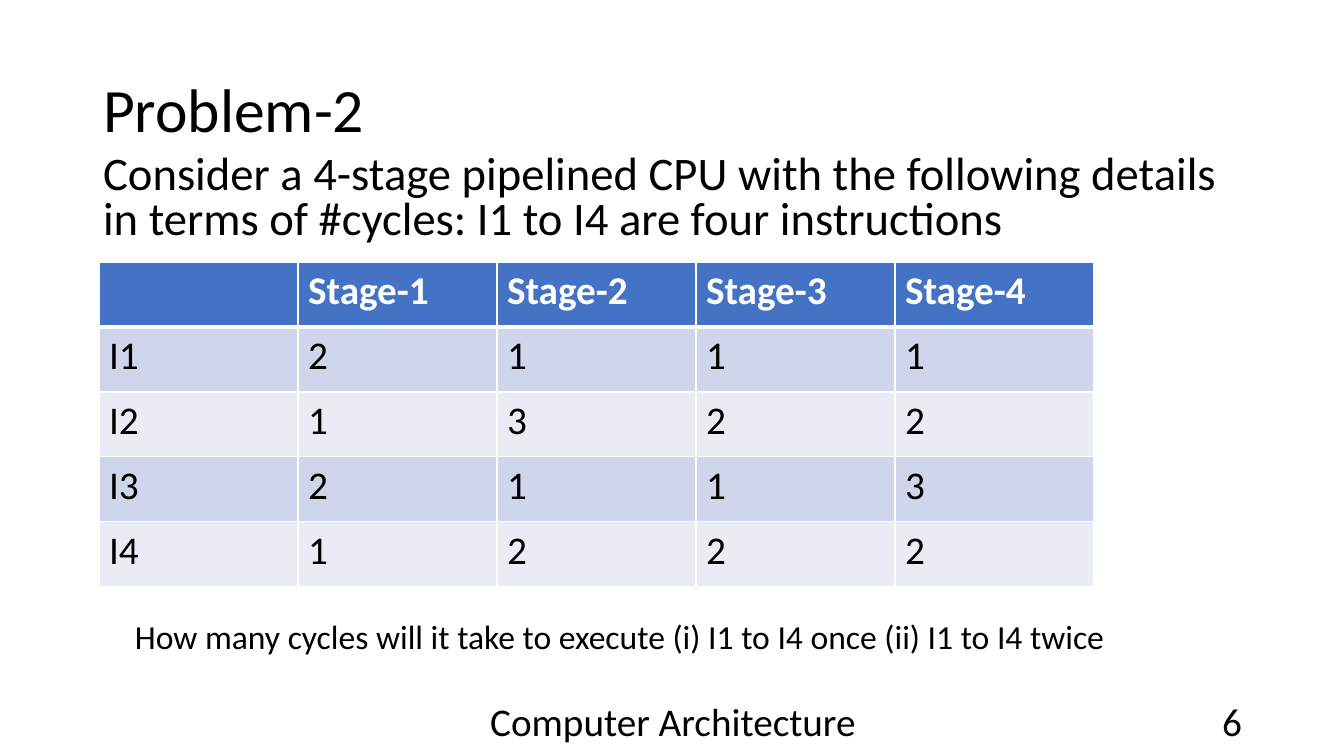
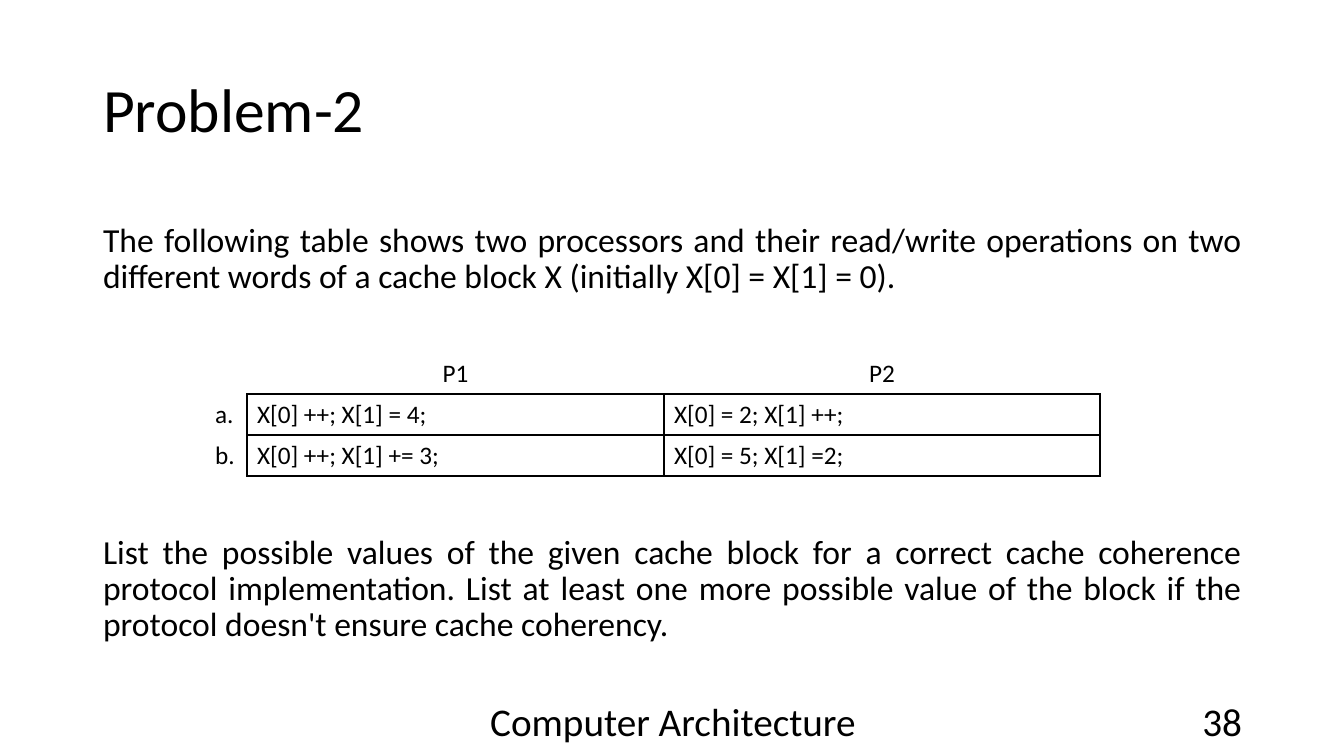
import lxml.etree
import pptx
import pptx.dml.color
import pptx.enum.text
import pptx.oxml.ns
import pptx.util

PX = 914400 / 100.8
FONT = "Calibri"
BLACK = pptx.dml.color.RGBColor(0x00, 0x00, 0x00)
WHITE = pptx.dml.color.RGBColor(0xFF, 0xFF, 0xFF)
HEADER_BLUE = pptx.dml.color.RGBColor(0x44, 0x72, 0xC4)
BAND_DARK = pptx.dml.color.RGBColor(0xCF, 0xD5, 0xEA)
BAND_LIGHT = pptx.dml.color.RGBColor(0xE9, 0xEB, 0xF5)
ALIGN = pptx.enum.text.PP_ALIGN
MIDDLE = pptx.enum.text.MSO_ANCHOR.MIDDLE

TITLE_BOX = (93, 40, 1159, 146)
FOOTER_BOX = (446, 701, 454, 40)
NUMBER_BOX = (950, 701, 302, 40)

SLIDES = [
    {
        "number": "6",
        "body_box": (93, 150, 1159, 480),
        "body": [
            "Consider a 4-stage pipelined CPU with the following details "
            "in terms of #cycles: I1 to I4 are four instructions"
        ],
        "body_size": 33.3,
        "line_spacing": 0.8,
        "body_alignment": ALIGN.LEFT,
    },
    {
        "number": "38",
        "body_box": (93, 218, 1159, 465),
        "body": [
            "The following table shows two processors and their read/write operations "
            "on two different words of a cache block X (initially X[0] = X[1] = 0).",
            "List the possible values of the given cache block for a correct cache "
            "coherence protocol implementation. List at least one more possible value "
            "of the block if the protocol doesn't ensure cache coherency.",
        ],
        "body_size": 24,
        "line_spacing": 0.9,
        "body_alignment": ALIGN.JUSTIFY,
    },
]
TABLE_GAP = 171

STAGE_ROWS = [
    ["", "Stage-1", "Stage-2", "Stage-3", "Stage-4"],
    ["I1", "2", "1", "1", "1"],
    ["I2", "1", "3", "2", "2"],
    ["I3", "2", "1", "1", "3"],
    ["I4", "1", "2", "2", "2"],
]
PROCESSOR_ROWS = [
    ["", "P1", "P2"],
    ["a.", "X[0] ++; X[1] = 4;", "X[0] = 2; X[1] ++;"],
    ["b.", "X[0] ++; X[1] += 3;", "X[0] = 5; X[1] =2;"],
]
TABLES = [
    {"left": 99, "top": 262, "columns": [199] * 5, "row_height": 65, "rows": STAGE_ROWS},
    {"left": 205, "top": 353, "columns": [42, 417, 436], "row_height": 41, "rows": PROCESSOR_ROWS},
]


def format_text(text_frame, size, alignment=ALIGN.LEFT, color=BLACK, bold=False):
    for paragraph in text_frame.paragraphs:
        paragraph.alignment = alignment
        paragraph.font.size = pptx.util.Pt(size)
        for run in paragraph.runs:
            run.font.name = FONT
            run.font.size = pptx.util.Pt(size)
            run.font.bold = bold
            run.font.color.rgb = color


def set_borders(cell, color, widths):
    """Draw the left, right, top and bottom borders; a width of 0 hides one."""
    properties = cell._tc.get_or_add_tcPr()
    for side, width in zip("LRTB", widths):
        line = lxml.etree.SubElement(properties, pptx.oxml.ns.qn(f"a:ln{side}"))
        line.set("w", str(pptx.util.Pt(width)))
        if width:
            fill = lxml.etree.SubElement(line, pptx.oxml.ns.qn("a:solidFill"))
            lxml.etree.SubElement(fill, pptx.oxml.ns.qn("a:srgbClr")).set("val", str(color))
        else:
            lxml.etree.SubElement(line, pptx.oxml.ns.qn("a:noFill"))


presentation = pptx.Presentation()
presentation.slide_width = round(1344 * PX)
presentation.slide_height = round(756 * PX)
slides = []
tables = []

for content, layout in zip(SLIDES, TABLES):
    slide = presentation.slides.add_slide(presentation.slide_layouts[1])
    slides.append(slide)

    # Title and body
    title, body = slide.shapes.title, slide.placeholders[1]
    for shape, box in ((title, TITLE_BOX), (body, content["body_box"])):
        shape.left, shape.top, shape.width, shape.height = [round(value * PX) for value in box]
        shape.text_frame.auto_size = pptx.enum.text.MSO_AUTO_SIZE.NONE
    title.text_frame.text = "Problem-2"
    title.text_frame.vertical_anchor = MIDDLE
    title.text_frame.paragraphs[0].line_spacing = 0.9
    format_text(title.text_frame, 44)

    body.text_frame.text = "\n".join(content["body"])
    format_text(body.text_frame, content["body_size"], content["body_alignment"])
    for index, paragraph in enumerate(body.text_frame.paragraphs):
        paragraph.line_spacing = content["line_spacing"]
        paragraph.space_before = pptx.util.Pt(TABLE_GAP if index else 10)
        properties = paragraph._p.get_or_add_pPr()
        properties.set("marL", "0")
        properties.set("indent", "0")
        lxml.etree.SubElement(properties, pptx.oxml.ns.qn("a:buNone"))

    # Footer and slide number
    for text, box, alignment in (
        ("Computer Architecture", FOOTER_BOX, ALIGN.CENTER),
        (content["number"], NUMBER_BOX, ALIGN.RIGHT),
    ):
        text_frame = slide.shapes.add_textbox(*[round(value * PX) for value in box]).text_frame
        text_frame.word_wrap = True
        text_frame.vertical_anchor = MIDDLE
        text_frame.text = text
        format_text(text_frame, 28, alignment)

    # Table grid
    rows, columns = layout["rows"], layout["columns"]
    table = slide.shapes.add_table(
        len(rows), len(columns),
        round(layout["left"] * PX), round(layout["top"] * PX),
        round(sum(columns) * PX), round(len(rows) * layout["row_height"] * PX),
    ).table
    table.first_row = False
    table.horz_banding = False
    for column, width in zip(table.columns, columns):
        column.width = round(width * PX)
    for row, texts in zip(table.rows, rows):
        row.height = round(layout["row_height"] * PX)
        for cell, text in zip(row.cells, texts):
            cell.text_frame.text = text
    tables.append(table)

stage_table, processor_table = tables

# Stage table: blue header over alternating bands
for row_index, row in enumerate(stage_table.rows):
    header = row_index == 0
    fill = HEADER_BLUE if header else BAND_DARK if row_index % 2 else BAND_LIGHT
    for cell in row.cells:
        set_borders(cell, WHITE, (1, 1, 3 if row_index == 1 else 1, 3 if header else 1))
        cell.fill.solid()
        cell.fill.fore_color.rgb = fill
        format_text(cell.text_frame, 28, color=WHITE if header else BLACK, bold=header)

# Processor table: only the operations are boxed
for row_index, row in enumerate(processor_table.rows):
    for column_index, cell in enumerate(row.cells):
        boxed = row_index > 0 and column_index > 0
        right = boxed or (row_index > 0 and column_index == 0)
        bottom = boxed or (row_index == 0 and column_index > 0)
        set_borders(cell, BLACK, (int(boxed), int(right), int(boxed), int(bottom)))
        cell.fill.background()
        format_text(cell.text_frame, 18, ALIGN.LEFT if row_index else ALIGN.CENTER)

# Question below the stage table
question = slides[0].shapes.add_textbox(*[round(value * PX) for value in (125, 611, 997, 50)])
question.text_frame.word_wrap = False
question.text_frame.text = (
    "How many cycles will it take to execute (i) I1 to I4 once (ii) I1 to I4 twice"
)
format_text(question.text_frame, 24)

presentation.save("out.pptx")
